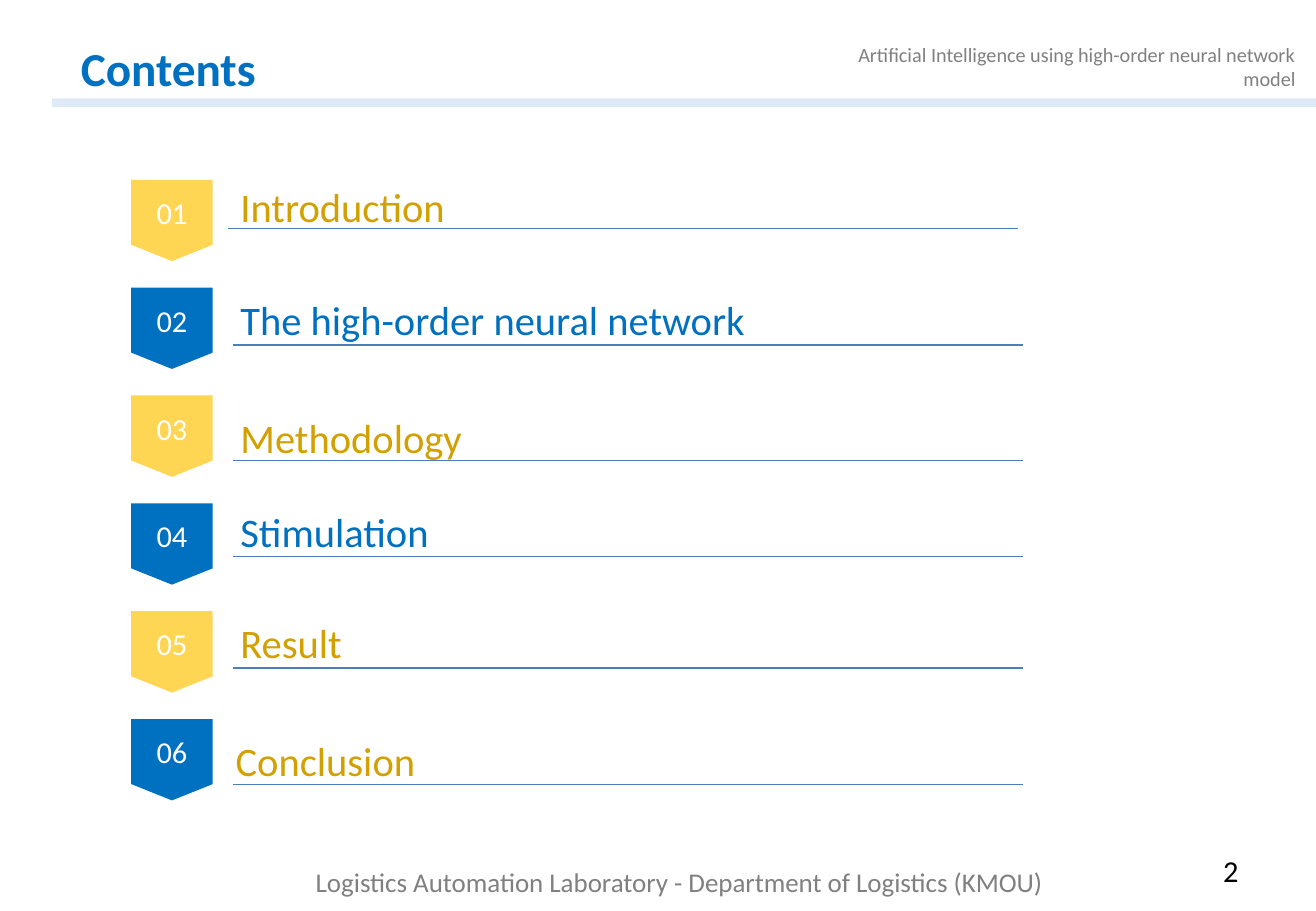
from lxml.etree import SubElement
from pptx import Presentation
from pptx.dml.color import RGBColor
from pptx.enum.shapes import MSO_CONNECTOR, MSO_SHAPE
from pptx.enum.text import MSO_ANCHOR, PP_ALIGN
from pptx.oxml.ns import qn
from pptx.util import Inches, Pt

COLORS = {
    "blue": "0070C0", "yellow": "FFD653", "gold": "D2A000", "rule": "4B7EBC",
    "band": "DEEBF7", "gray": "808080", "white": "FFFFFF", "black": "000000",
}

# label, text color, text left, text top, rule left, rule height
TOPICS = [
    ("Introduction", "gold", 17.36, 19.87, 17.36, 25.07),
    ("The high-order neural network", "blue", 17.36, 32.27, 17.73, 37.87),
    ("Methodology", "gold", 17.36, 45.2, 17.73, 50.53),
    ("Stimulation", "blue", 17.36, 55.47, 17.73, 61.07),
    ("Result", "gold", 17.36, 67.73, 17.73, 73.33),
    ("Conclusion", "gold", 16.99, 80.67, 17.73, 86.13),
]
BADGE_TOP, BADGE_STEP = 19.73, 11.84


def rgb(name):
    return RGBColor.from_string(COLORS[name])


def write(tf, text, size=18, color="black", bold=False,
          align=PP_ALIGN.LEFT, anchor=MSO_ANCHOR.TOP, font="Calibri"):
    tf.word_wrap = True
    tf.vertical_anchor = anchor
    p = tf.paragraphs[0]
    p.alignment = align
    r = p.add_run()
    r.text = text
    r.font.name, r.font.size, r.font.bold = font, Pt(size), bold
    r.font.color.rgb = rgb(color)


class Page:
    """Places elements on a slide; lengths are percentages of its width and height."""

    def __init__(self, prs):
        self.w, self.h = prs.slide_width, prs.slide_height
        self.shapes = prs.slides.add_slide(prs.slide_layouts[6]).shapes

    def box(self, x, y, w, h):
        return [round(share * full / 100) for share, full in
                zip((x, y, w, h), (self.w, self.h) * 2)]

    def text(self, area, text, **style):
        tf = self.shapes.add_textbox(*self.box(*area)).text_frame
        write(tf, text, **style)
        return tf

    def shape(self, kind, area, fill):
        sp = self.shapes.add_shape(kind, *self.box(*area))
        sp.shadow.inherit = False
        sp.fill.solid()
        sp.fill.fore_color.rgb = rgb(fill)
        sp.line.fill.background()
        return sp

    def rule(self, x, y, width):
        ends = self.box(x, y, x + width, y)
        line = self.shapes.add_connector(MSO_CONNECTOR.STRAIGHT, *ends)
        line.line.color.rgb = rgb("rule")
        line.line.width = Pt(0.75)
        SubElement(line._element.spPr, qn("a:effectLst"))


def main():
    prs = Presentation()
    prs.slide_width, prs.slide_height = Inches(10.83), Inches(7.5)
    page = Page(prs)

    page.shape(MSO_SHAPE.RECTANGLE, (3.97, 10.8, 96.03, 0.93), "band")
    page.text((23.08, 94.4, 70.18, 4.93),
              "Logistics Automation Laboratory - Department of Logistics (KMOU)",
              size=16, color="gray")
    page.text((61.59, 4, 37.77, 6.67),
              "Artificial Intelligence using high-order neural network model",
              size=12, color="gray", align=PP_ALIGN.RIGHT)
    title = page.text((6.14, 4.13, 32.32, 6.53), "Contents",
                      size=28, color="blue", bold=True)
    title.margin_left = title.margin_right = title.margin_bottom = 0
    title.margin_top = Inches(0.01)
    title.paragraphs[0].space_before = Pt(0.9)

    for i, (label, color, x, y, rule_x, rule_y) in enumerate(TOPICS):
        badge = page.shape(MSO_SHAPE.FLOWCHART_OFFPAGE_CONNECTOR,
                           (9.97, BADGE_TOP + i * BADGE_STEP, 6.19, 8.93),
                           "blue" if i % 2 else "yellow")
        write(badge.text_frame, f"{i + 1:02}", color="white",
              align=PP_ALIGN.CENTER, anchor=MSO_ANCHOR.MIDDLE)
        page.rule(rule_x, rule_y, 60.02)
        page.text((x, y, 59.28, 5.6), label, size=24, color=color,
                  anchor=MSO_ANCHOR.MIDDLE)

    page.text((78.12, 92.93, 16.9, 5.07), "2", align=PP_ALIGN.RIGHT)
    prs.save("out.pptx")


if __name__ == "__main__":
    main()
